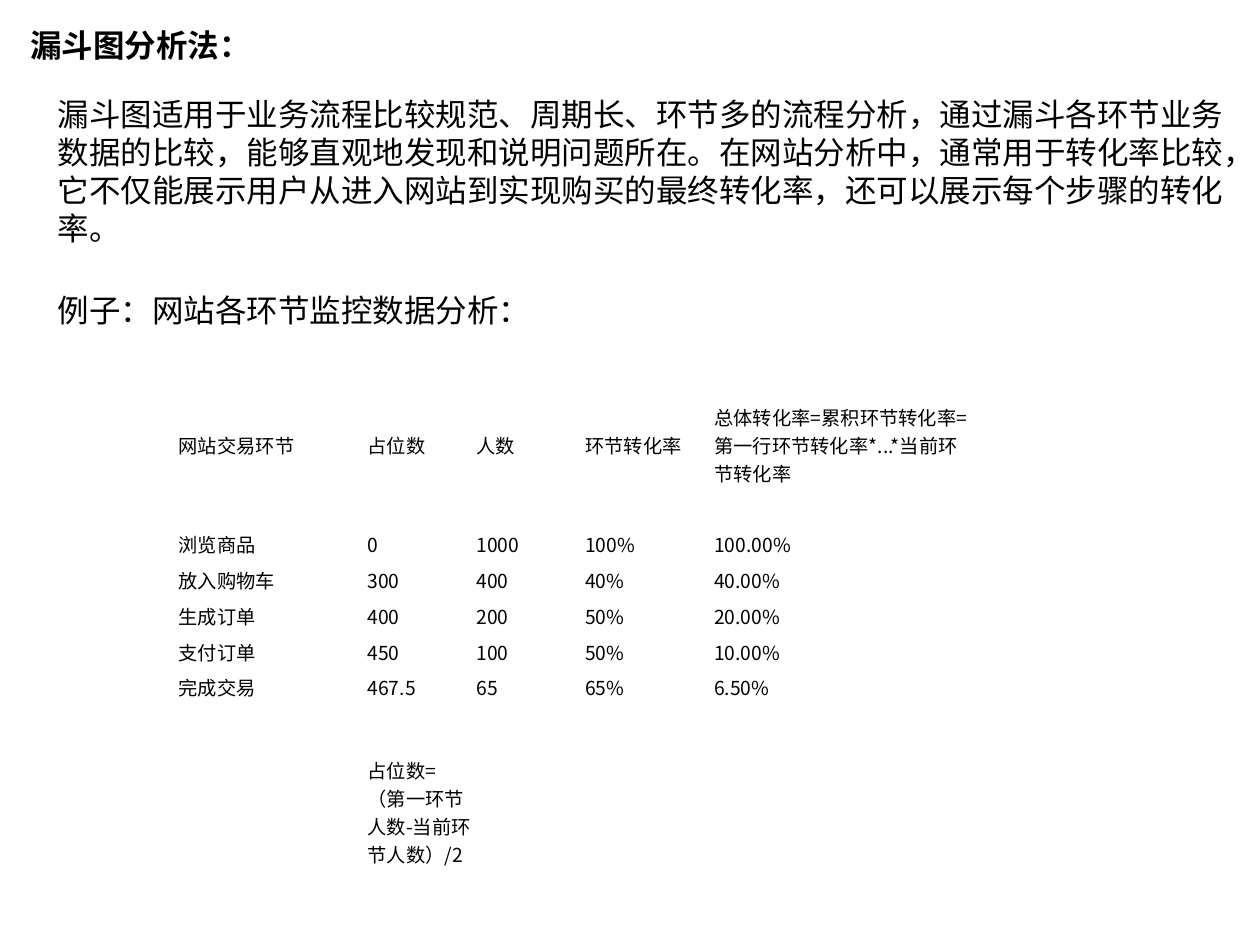
from dataclasses import dataclass

from pptx import Presentation
from pptx.dml.color import RGBColor
from pptx.enum.text import MSO_ANCHOR, MSO_AUTO_SIZE, PP_ALIGN
from pptx.util import Pt

TOP, MIDDLE = MSO_ANCHOR.TOP, MSO_ANCHOR.MIDDLE
GROW = MSO_AUTO_SIZE.SHAPE_TO_FIT_TEXT
LEFT = PP_ALIGN.LEFT
TITLE_ONLY = 5


@dataclass
class Theme:
    ink: RGBColor = RGBColor(0, 0, 0)
    text_font: str = "Calibri"
    table_font: str = "Noto Sans CJK SC"
    text_size: float = 18
    table_size: float = 11


class SlideWriter:
    """Draws the elements of one slide in a shared theme."""

    def __init__(self, slide, theme):
        self.slide = slide
        self.theme = theme

    def apply(self, target, values):
        for name, value in values.items():
            setattr(target, name, value)

    def format_font(self, para, name, size, bold=False):
        self.apply(para.font, {"name": name, "size": Pt(size), "bold": bold})
        para.font.color.rgb = self.theme.ink

    def fill_box(self, box, text, place, bold=False):
        names = ("left", "top", "width", "height")
        self.apply(box, dict(zip(names, map(Pt, place))))
        frame = box.text_frame
        frame.text = text
        self.apply(frame, {"word_wrap": True, "auto_size": GROW, "vertical_anchor": TOP})
        para = frame.paragraphs[0]
        para.alignment = LEFT
        self.format_font(para, self.theme.text_font, self.theme.text_size, bold)

    def title(self, text, place):
        self.fill_box(self.slide.shapes.title, text, place, bold=True)

    def text(self, text, place):
        box = self.slide.shapes.add_textbox(*map(Pt, place))
        self.fill_box(box, text, place)

    def table(self, rows, left, top, widths, heights):
        size = Pt(sum(widths)), Pt(sum(heights))
        frame = self.slide.shapes.add_table(len(rows), len(widths), Pt(left), Pt(top), *size)
        table = frame.table
        self.apply(table, {"first_row": False, "horz_banding": False})
        for column, width in zip(table.columns, widths):
            column.width = Pt(width)
        for row, height, texts in zip(table.rows, heights, rows):
            row.height = Pt(height)
            for cell, text in zip(row.cells, texts):
                self.cell(cell, text)

    def cell(self, cell, text):
        cell.text = text
        cell.fill.background()
        self.apply(cell, {
            "vertical_anchor": MIDDLE,
            "margin_left": Pt(0.75), "margin_right": Pt(0.75),
            "margin_top": Pt(3.6), "margin_bottom": Pt(3.6),
        })
        self.format_font(cell.text_frame.paragraphs[0], self.theme.table_font, self.theme.table_size)


def main():
    deck = Presentation()
    deck.slide_width, deck.slide_height = Pt(720), Pt(540)
    page = deck.slides.add_slide(deck.slide_layouts[TITLE_ONLY])
    writer = SlideWriter(page, Theme())

    writer.title("漏斗图分析法：", (10, 11.5, 400, 29))
    writer.text(
        "漏斗图适用于业务流程比较规范、周期长、环节多的流程分析，"
        "通过漏斗各环节业务数据的比较，能够直观地发现和说明问题所在。"
        "在网站分析中，通常用于转化率比较，它不仅能展示用户从进入网站到实现购买的最终转化率，"
        "还可以展示每个步骤的转化率。",
        (26, 51, 686, 94),
    )
    writer.text("例子：网站各环节监控数据分析：", (26, 162.5, 400, 29))

    rows = [
        ("网站交易环节", "占位数", "人数", "环节转化率",
         "总体转化率=累积环节转化率=第一行环节转化率*...*当前环节转化率", ""),
        ("浏览商品", "0", "1000", "100%", "100.00%", ""),
        ("放入购物车", "300", "400", "40%", "40.00%", ""),
        ("生成订单", "400", "200", "50%", "20.00%", ""),
        ("支付订单", "450", "100", "50%", "10.00%", ""),
        ("完成交易", "467.5", "65", "65%", "6.50%", ""),
        ("",) * 6,
        ("", "占位数=（第一环节人数-当前环节人数）/2", "", "", "", ""),
    ]
    widths = [108, 62.2, 62.2, 73.7, 148.5, 62.2]
    heights = [90] + [18.7] * 6 + [84]
    writer.table(rows, 101.3, 209.5, widths, heights)
    deck.save("out.pptx")


if __name__ == "__main__":
    main()
